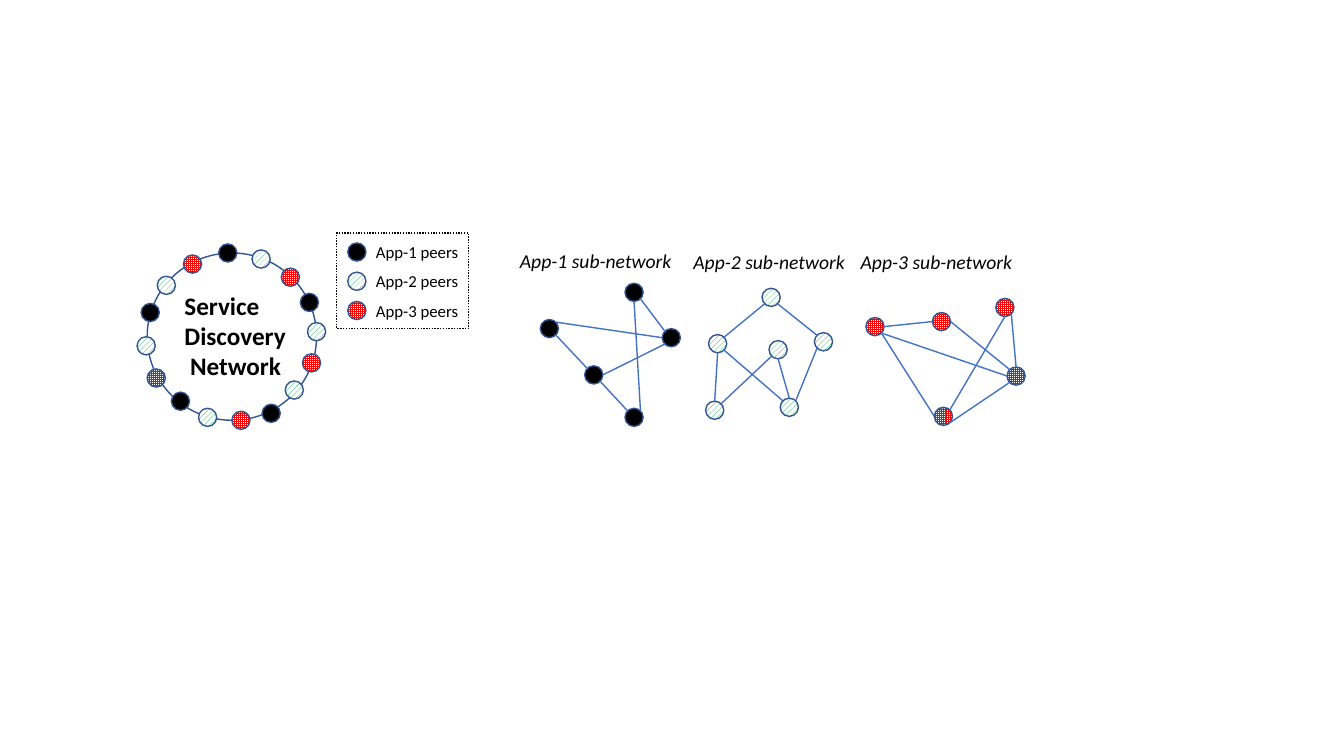
from math import cos, radians, sin

from pptx import Presentation
from pptx.dml.color import RGBColor
from pptx.enum import dml, shapes, text
from pptx.oxml.xmlchemy import OxmlElement
from pptx.util import Pt

COLORS = {
    "black": "000000",
    "white": "FFFFFF",
    "red": "FF0000",
    "green": "00B050",
    "outline": "325491",
    "edge": "4472C4",
}
# App number: (colour, pattern)
APPS = {
    1: ("black", None),
    2: ("green", dml.MSO_PATTERN.WIDE_UPWARD_DIAGONAL),
    3: ("red", dml.MSO_PATTERN.SMALL_GRID),
}
RADIUS = 6.5

# Peers on the ring, clockwise: app, centre x, centre y
RING_PEERS = [
    (3, 137.5, 188.6), (1, 162.7, 180.7), (2, 186.5, 185), (3, 207.4, 198),
    (1, 221, 216), (2, 226.1, 236.9), (3, 222.5, 259.2), (2, 210.2, 278.6),
    (1, 193.7, 295.2), (3, 172.1, 300.2), (2, 148.3, 298.1), (1, 128.9, 286.6),
    (3, 111.6, 270), (2, 104.4, 247), (1, 107.3, 223.2), (2, 118.8, 203.8),
]

# Each edge: peer, side, peer, side
SUBNETWORKS = [
    {
        "app": 1,
        "label": (364.3, 174.2),
        "peers": {"A": (452.9, 208.8), "B": (479.5, 241.2), "C": (424.1, 267.8),
                  "D": (452.9, 298.1), "E": (392.4, 234.7)},
        "edges": [("E", "SE", "C", "NW"), ("B", "NW", "A", "SE"),
                  ("D", "NW", "C", "SE"), ("C", "E", "B", "SW"),
                  ("D", "NE", "A", "S"), ("E", "NE", "B", "W")],
    },
    {
        "app": 2,
        "label": (488.2, 175),
        "peers": {"A": (550.8, 212.4), "B": (588.2, 244.1), "C": (512.6, 245.5),
                  "D": (510.5, 293), "E": (563.8, 290.9), "F": (555.8, 249.8)},
        "edges": [("E", "NW", "C", "SE"), ("E", "NE", "B", "SW"),
                  ("D", "NE", "F", "SW"), ("B", "NW", "A", "SE"),
                  ("E", "N", "F", "S"), ("A", "SW", "C", "NE"),
                  ("D", "N", "C", "S")],
    },
    {
        "app": 3,
        "label": (607.7, 175),
        "peers": {"A": (625, 233.3), "B": (672.5, 229.7), "C": (717.8, 219.6),
                  "D": (673.9, 297.4), "E": (725.8, 268.6)},
        "edges": [("D", "NE", "C", "S"), ("A", "E", "B", "W"),
                  ("E", "SW", "D", "SE"), ("A", "SE", "D", "W"),
                  ("E", "N", "C", "SE"), ("E", "NW", "B", "E"),
                  ("A", "SE", "E", "W")],
    },
]
SIDES = ["E", "NE", "N", "NW", "W", "SW", "S", "SE"]


def rgb(name):
    return RGBColor.from_string(COLORS[name])


def add_outline(parent, kind, left, top, width, height, color):
    """Add an unfilled shape with a one-point line."""
    s = parent.add_shape(kind, Pt(left), Pt(top), Pt(width), Pt(height))
    s.shadow.inherit = False
    s.fill.background()
    s.line.color.rgb = rgb(color)
    s.line.width = Pt(1)
    return s


def add_peer(parent, app, x, y):
    s = add_outline(parent, shapes.MSO_SHAPE.OVAL, x - RADIUS, y - RADIUS,
                    2 * RADIUS, 2 * RADIUS, "outline")
    color, pattern = APPS[app]
    if pattern is None:
        s.fill.solid()
        s.fill.fore_color.rgb = rgb(color)
    else:
        s.fill.patterned()
        s.fill.pattern = pattern
        s.fill.fore_color.rgb = rgb(color)
        s.fill.back_color.rgb = rgb("white")


def rim_point(center, side):
    """Return the point on a peer's rim that faces the compass side."""
    angle = radians(45 * SIDES.index(side))
    x, y = center
    return Pt(x + RADIUS * cos(angle)), Pt(y - RADIUS * sin(angle))


def add_edge(parent, begin, end):
    c = parent.add_connector(shapes.MSO_CONNECTOR.STRAIGHT, *begin, *end)
    c.line.color.rgb = rgb("edge")
    c.line.width = Pt(1)
    c._element.spPr.append(OxmlElement("a:effectLst"))


def add_label(parent, wording, left, top, width, height, size,
              bold=False, italic=False):
    tf = parent.add_textbox(Pt(left), Pt(top), Pt(width), Pt(height)).text_frame
    tf.word_wrap = False
    tf.auto_size = text.MSO_AUTO_SIZE.SHAPE_TO_FIT_TEXT
    tf.text = wording
    for p in tf.paragraphs:
        for r in p.runs:
            r.font.name = "Calibri"
            r.font.size = Pt(size)
            r.font.bold = bold
            r.font.italic = italic
            r.font.color.rgb = rgb("black")


def add_discovery_ring(parent):
    add_outline(parent, shapes.MSO_SHAPE.OVAL, 105.1, 180.7, 121, 119.5, "outline")
    for app, x, y in RING_PEERS:
        add_peer(parent, app, x, y)
    add_label(parent, "Service\nDiscovery\n Network", 124.6, 203.8, 87.1, 72.7,
              18, bold=True)


def add_subnetwork(parent, app, label, peers, edges):
    group = parent.add_group_shape().shapes
    for center in peers.values():
        add_peer(group, app, *center)
    for first, first_side, second, second_side in edges:
        add_edge(group, rim_point(peers[first], first_side),
                 rim_point(peers[second], second_side))
    add_label(group, f"App-{app} sub-network", *label, 125.3, 24.5, 14, italic=True)


def add_legend(parent):
    group = parent.add_group_shape().shapes
    for row, app in enumerate(APPS):
        y = 180 + 20.9 * row
        add_peer(group, app, 254.9, y)
        add_label(group, f"App-{app} peers", 261.4, y - 10.8, 74.2, 21.6, 12)
    frame = add_outline(group, shapes.MSO_SHAPE.RECTANGLE, 240.5, 166.3, 94.3, 68.4,
                        "black")
    frame.line.dash_style = dml.MSO_LINE.ROUND_DOT


def main():
    prs = Presentation()
    prs.slide_width, prs.slide_height = Pt(960), Pt(540)
    slide = prs.slides.add_slide(prs.slide_layouts[6])
    add_discovery_ring(slide.shapes)
    for subnetwork in SUBNETWORKS:
        add_subnetwork(slide.shapes, **subnetwork)
    add_legend(slide.shapes)
    prs.save("out.pptx")


if __name__ == "__main__":
    main()
